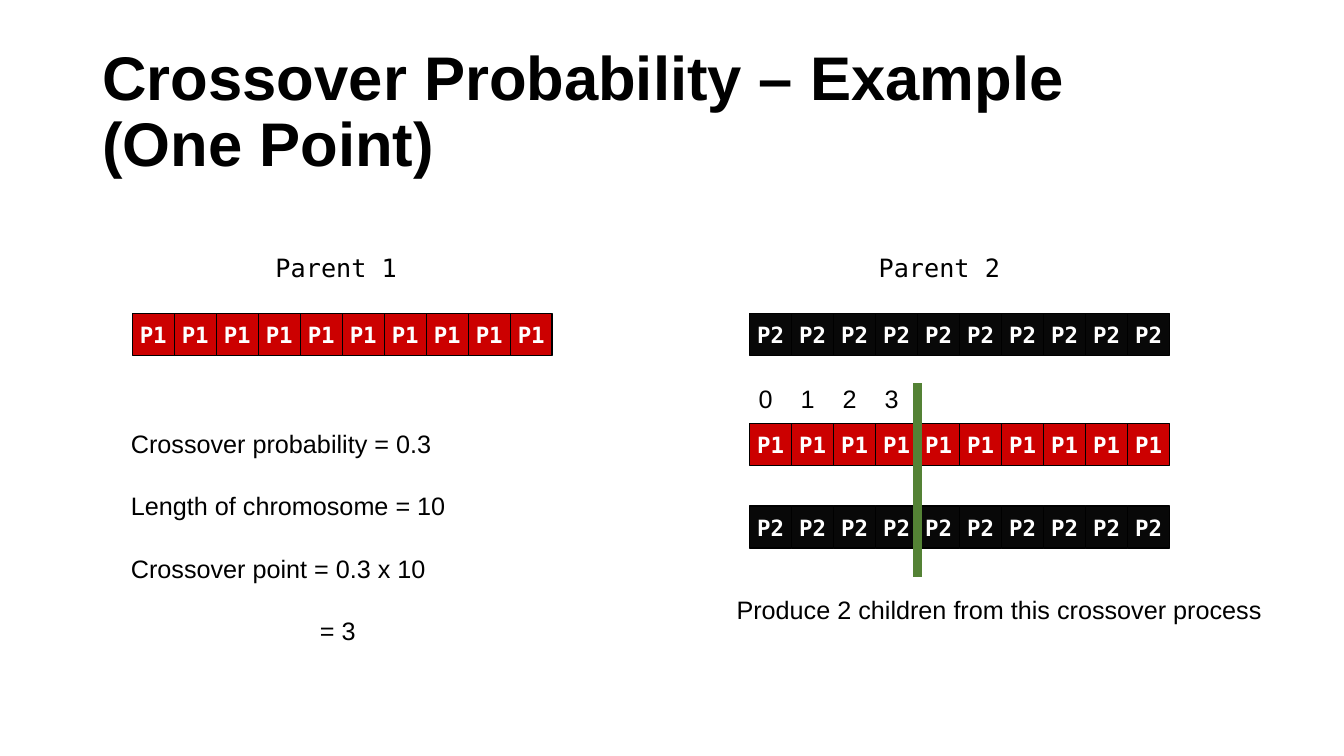
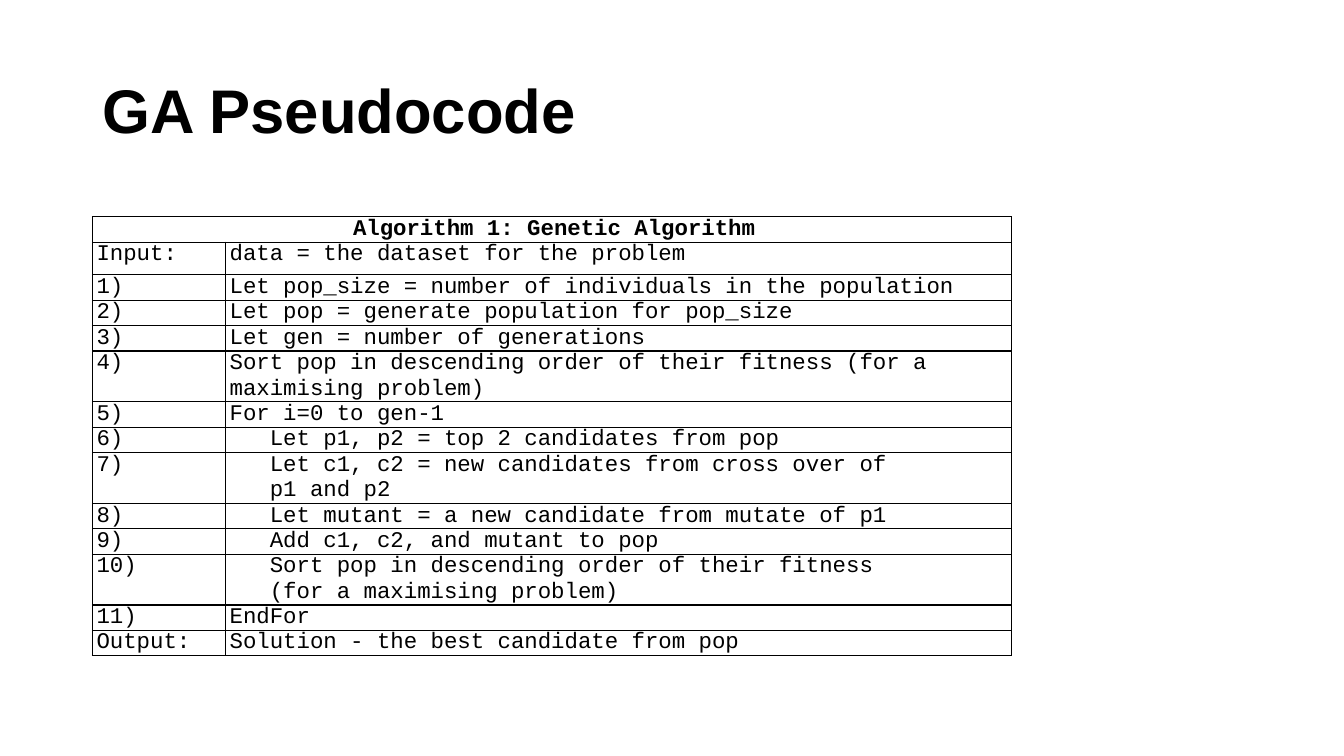
from lxml.etree import SubElement as sub
from pptx import Presentation
from pptx.dml.color import RGBColor
from pptx.enum.shapes import MSO_CONNECTOR as LINK, MSO_SHAPE as SHAPE
from pptx.enum.text import MSO_ANCHOR as ANCHOR, MSO_AUTO_SIZE as FIT, PP_ALIGN as ALIGN
from pptx.oxml.ns import qn
from pptx.util import Inches, Pt

# Shared style: a grid of 32 columns and 18 rows of square cells
WIDE, HIGH = Inches(13.333), Inches(7.5)
COLS, ROWS = 32, 18
SANS, MONO, CODE = "Arial", "DejaVu Sans Mono", "Courier New"
BLACK, WHITE, RED, COAL, GREEN = "000000", "FFFFFF", "CC0000", "080808", "548235"


def paint(code):
    return RGBColor.from_string(code)


def across(cols):
    return round(WIDE * cols / COLS)


def down(rows):
    return round(HIGH * rows / ROWS)


def area(left, top, width, height):
    return across(left), down(top), across(width), down(height)


def write(frame, lines, size=18, font=SANS, color=BLACK, bold=False,
          align=ALIGN.LEFT, lead=None, gap=0, shifts=None):
    """Fill a frame, one paragraph a line; shifts maps a line number to its indent."""
    for i, line in enumerate(lines):
        para = frame.add_paragraph() if i else frame.paragraphs[0]
        para.text = line
        para.alignment = align
        para.line_spacing = lead
        para.space_before = Pt(gap if i else 0)
        if shifts and i in shifts:
            para._p.get_or_add_pPr().set("marL", str(across(shifts[i])))
        for run in para.runs:
            run.font.size, run.font.name, run.font.bold = Pt(size), font, bold
            run.font.color.rgb = paint(color)


class Deck:
    def __init__(self):
        self.show = Presentation()
        self.show.slide_width, self.show.slide_height = WIDE, HIGH
        self.slide = None

    def page(self, *title):
        """Start a slide with its title."""
        self.slide = self.show.slides.add_slide(self.show.slide_layouts[5])
        head = self.slide.shapes.title
        head.left, head.top, head.width, head.height = area(2.2, 0.96, 27.6, 3.48)
        frame = head.text_frame
        frame.auto_size, frame.word_wrap = FIT.NONE, True
        frame.vertical_anchor = ANCHOR.MIDDLE
        write(frame, ["\v".join(title)], size=44, bold=True, lead=0.9)

    def note(self, box, *lines, **style):
        frame = self.slide.shapes.add_textbox(*area(*box)).text_frame
        frame.word_wrap = True
        write(frame, lines, **style)

    def strip(self, left, top, gene, fill, count=10):
        """Draw a chromosome as a group of equal genes."""
        group = self.slide.shapes.add_group_shape()
        for i in range(count):
            box = group.shapes.add_shape(SHAPE.RECTANGLE, *area(left + i, top, 1, 1))
            box.shadow.inherit = False
            box.fill.solid()
            box.fill.fore_color.rgb = paint(fill)
            box.line.color.rgb, box.line.width = paint(BLACK), Pt(1)
            frame = box.text_frame
            frame.margin_left = frame.margin_right = 0
            frame.word_wrap, frame.vertical_anchor = False, ANCHOR.MIDDLE
            write(frame, [gene], size=16, font=MONO, color=WHITE, bold=True,
                  align=ALIGN.CENTER)

    def rule(self, left, top, end, color, width):
        line = self.slide.shapes.add_connector(
            LINK.STRAIGHT, across(left), down(top), across(left), down(end))
        line.line.color.rgb, line.line.width = paint(color), Pt(width)
        sub(line._element.spPr, qn("a:effectLst"))

    def cell(self, cell, lines, **style):
        cell.margin_left = across(0.1)
        cell.margin_right = cell.margin_top = cell.margin_bottom = 0
        props = cell._tc.get_or_add_tcPr()
        for side in "LRTB":
            edge = sub(props, qn(f"a:ln{side}"), w=str(Pt(1)))
            sub(sub(edge, qn("a:solidFill")), qn("a:srgbClr"), val=BLACK)
        cell.fill.background()
        write(cell.text_frame, lines, size=16, font=CODE, **style)

    def table(self, left, top, widths, heights, head, rows):
        """Draw a ruled listing under a merged heading."""
        grid = self.slide.shapes.add_table(
            len(heights), len(widths),
            *area(left, top, sum(widths), sum(heights))).table
        grid.first_row = grid.horz_banding = False
        for col, width in zip(grid.columns, widths):
            col.width = across(width)
        for row, height in zip(grid.rows, heights):
            row.height = down(height)
        self.cell(grid.cell(0, 0), [head], bold=True, align=ALIGN.CENTER)
        self.cell(grid.cell(0, 1), [])
        grid.cell(0, 0).merge(grid.cell(0, 1))
        for r, (label, *lines) in enumerate(rows, 1):
            self.cell(grid.cell(r, 0), [label])
            self.cell(grid.cell(r, 1), lines)


def cross(deck):
    deck.page("Crossover Probability – Example", "(One Point)")
    # Parents
    first, second, point = 3.15, 17.85, 3
    for left, name in ((5.64, "Parent 1"), (20, "Parent 2")):
        deck.note((left, 5.9, 4.73, 1.2), name, font=MONO, align=ALIGN.CENTER)
    deck.strip(first, 7.46, "P1", RED)
    deck.strip(second, 7.46, "P2", COAL)
    # Working
    deck.note((2.88, 10.08, 9, 5.33), "Crossover probability = 0.3",
              "Length of chromosome = 10", "Crossover point = 0.3 x 10", "= 3",
              gap=23, shifts={3: 4.5})
    # Split after the crossover point
    deck.strip(second, 10.08, "P1", RED)
    deck.strip(second, 12.05, "P2", COAL)
    deck.rule(second + point + 1, 9.12, 13.75, GREEN, 6)
    for i in range(point + 1):
        deck.note((second + i - 0.12, 9, 1, 0.96), str(i), align=ALIGN.CENTER)
    deck.note((17.3, 14.04, 13.5, 0.96),
              "Produce 2 children from this crossover process")


def pseudo(deck):
    deck.page("GA Pseudocode")
    steps = [
        ["Let pop_size = number of individuals in the population"],
        ["Let pop = generate population for pop_size"],
        ["Let gen = number of generations"],
        ["Sort pop in descending order of their fitness (for a maximising problem)"],
        ["For i=0 to gen-1"],
        ["   Let p1, p2 = top 2 candidates from pop"],
        ["   Let c1, c2 = new candidates from cross over of", "   p1 and p2"],
        ["   Let mutant = a new candidate from mutate of p1"],
        ["   Add c1, c2, and mutant to pop"],
        ["   Sort pop in descending order of their fitness",
         "   (for a maximising problem)"],
        ["EndFor"],
    ]
    rows = [("Input:", "data = the dataset for the problem"),
            *((f"{i})", *lines) for i, lines in enumerate(steps, 1)),
            ("Output:", "Solution - the best candidate from pop")]
    # Rows grow to fit their text; only the input row is taller
    heights = [0.6, 0.78] + [0.6] * (len(rows) - 1)
    deck.table(2.2, 5.16, (3.17, 18.72), heights,
               "Algorithm 1: Genetic Algorithm", rows)


def main():
    deck = Deck()
    cross(deck)
    pseudo(deck)
    deck.show.save("out.pptx")


if __name__ == "__main__":
    main()
